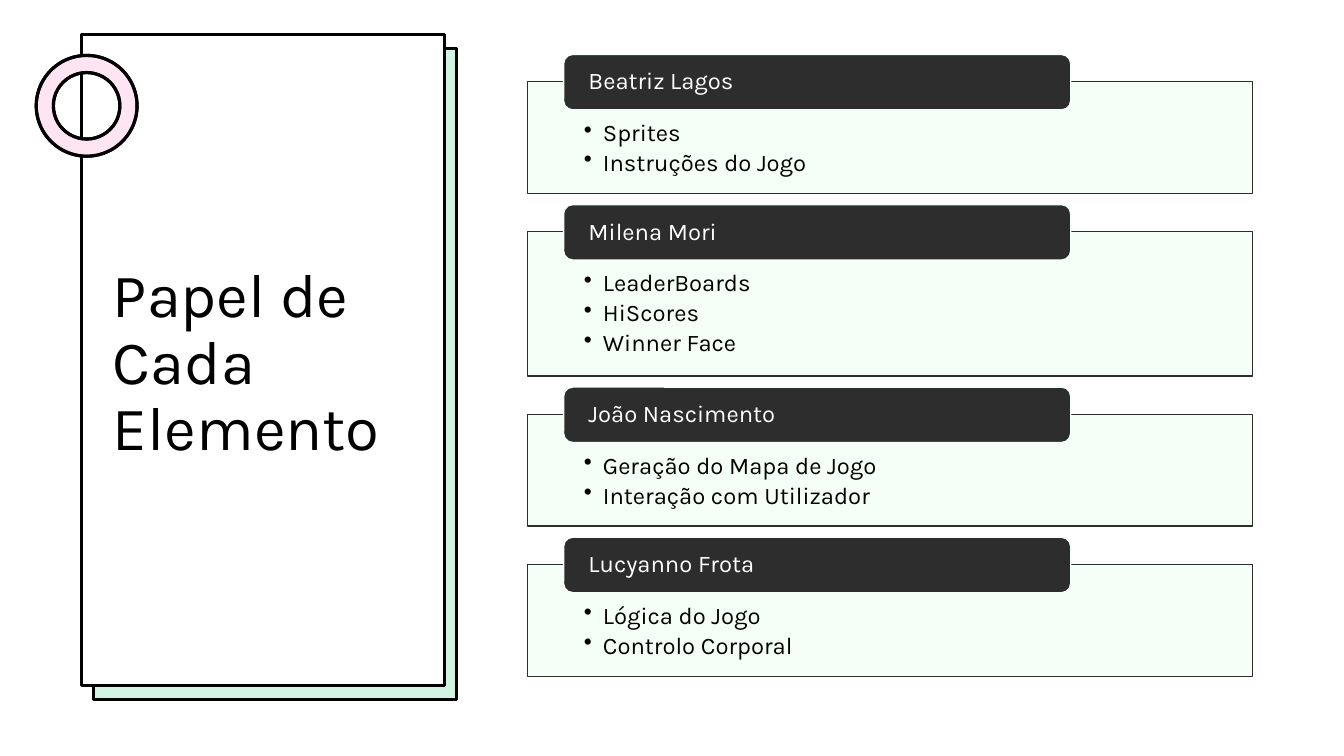
"""Builds the slide that lists the role of each team member."""
from dataclasses import dataclass

from lxml.etree import SubElement
from pptx import Presentation
from pptx.dml.color import RGBColor as Rgb
from pptx.enum.shapes import MSO_SHAPE as Preset
from pptx.enum.text import MSO_ANCHOR as Anchor
from pptx.enum.text import MSO_AUTO_SIZE as AutoSize
from pptx.enum.text import PP_ALIGN as Align
from pptx.oxml.ns import qn
from pptx.util import Pt

PX = 9144


@dataclass(frozen=True)
class Theme:
    font: str = "Karla"
    title_size: int = 44
    text_size: int = 17
    bold_line: float = 2.25
    thin_line: float = 1
    black: str = "000000"
    white: str = "FFFFFF"
    dark: str = "2D2D2D"
    mint: str = "F3FFF8"
    green: str = "21C46B"
    pink: str = "FF80BD"


class RoleSlide:
    def __init__(self, page, theme):
        self.page = page
        self.theme = theme

    def shape(self, preset, place, fill, line, width, opacity=100):
        shape = self.page.shapes.add_shape(preset, *(n * PX for n in place))
        shape.shadow.inherit = False
        shape.fill.solid()
        shape.fill.fore_color.rgb = Rgb.from_string(fill)
        if opacity < 100:
            color = shape.element.spPr.find(qn("a:solidFill"))[0]
            SubElement(color, qn("a:alpha"), val=str(opacity * 1000))
        shape.line.color.rgb = Rgb.from_string(line)
        shape.line.width = Pt(width)
        return shape

    def card(self, place):
        theme = self.theme
        self.shape(Preset.RECTANGLE, place, theme.white, theme.black, theme.bold_line)

    def tinted_card(self, place, tint):
        theme = self.theme
        self.card(place)
        self.shape(Preset.RECTANGLE, place, tint, theme.black, theme.bold_line, 20)

    def ring(self, place, tint):
        theme = self.theme
        for fill, opacity in ((theme.white, 100), (tint, 20)):
            ring = self.shape(Preset.DONUT, place, fill, theme.black, theme.bold_line, opacity)
            ring.adjustments[0] = 0.17

    def frame(self, shape, insets, anchor):
        frame = shape.text_frame
        frame.word_wrap = True
        frame.auto_size = AutoSize.NONE
        frame.vertical_anchor = anchor
        (frame.margin_left, frame.margin_top,
         frame.margin_right, frame.margin_bottom) = (n * PX for n in insets)
        return frame

    def add_text(self, para, text, size, color):
        para.alignment = Align.LEFT
        para.line_spacing = 0.9
        span = para.add_run()
        span.text = text
        span.font.name = self.theme.font
        span.font.size = Pt(size)
        span.font.color.rgb = Rgb.from_string(color)

    def bullet(self, para):
        para.space_after = Pt(3)
        props = para._p.get_or_add_pPr()
        props.set("marL", str(19 * PX))
        props.set("indent", str(-19 * PX))
        SubElement(props, qn("a:buChar"), char="•")

    def title(self, text, place):
        title = self.page.shapes.title
        title.left, title.top, title.width, title.height = (n * PX for n in place)
        title.element.getparent().append(title.element)
        frame = self.frame(title, (10, 5, 10, 5), Anchor.MIDDLE)
        self.add_text(frame.paragraphs[0], text, self.theme.title_size, self.theme.black)

    def panel(self, place, tasks):
        theme = self.theme
        box = self.shape(Preset.RECTANGLE, place, theme.mint, theme.dark, theme.thin_line, 90)
        frame = self.frame(box, (56, 39, 56, 13), Anchor.TOP)
        for index, task in enumerate(tasks):
            para = frame.add_paragraph() if index else frame.paragraphs[0]
            self.add_text(para, task, theme.text_size, theme.black)
            self.bullet(para)

    def tab(self, place, name):
        theme = self.theme
        box = self.shape(Preset.ROUNDED_RECTANGLE, place, theme.dark, theme.mint, theme.thin_line)
        frame = self.frame(box, (22, 0, 22, 0), Anchor.MIDDLE)
        self.add_text(frame.paragraphs[0], name, theme.text_size, theme.white)


def main():
    deck = Presentation()
    deck.slide_width, deck.slide_height = 1333 * PX, 750 * PX
    page = deck.slides.add_slide(deck.slide_layouts[5])
    theme = Theme()
    slide = RoleSlide(page, theme)

    slide.tinted_card((93, 48, 360, 646), theme.green)
    slide.card((81, 34, 360, 646))
    slide.ring((36, 55, 100, 100), theme.pink)
    slide.title("Papel de Cada Elemento", (102, 130, 340, 463))

    roles = {
        "Beatriz Lagos": ["Sprites", "Instruções do Jogo"],
        "Milena Mori": ["LeaderBoards", "HiScores", "Winner Face"],
        "João Nascimento": ["Geração do Mapa de Jogo", "Interação com Utilizador"],
        "Lucyanno Frota": ["Lógica do Jogo", "Controlo Corporal"],
    }
    top = 81
    for name, tasks in roles.items():
        height = 47 + 32 * len(tasks)
        slide.panel((523, top, 719, height), tasks)
        slide.tab((559, top - 27, 503, 55), name)
        top += height + 38

    deck.save("out.pptx")


if __name__ == "__main__":
    main()
